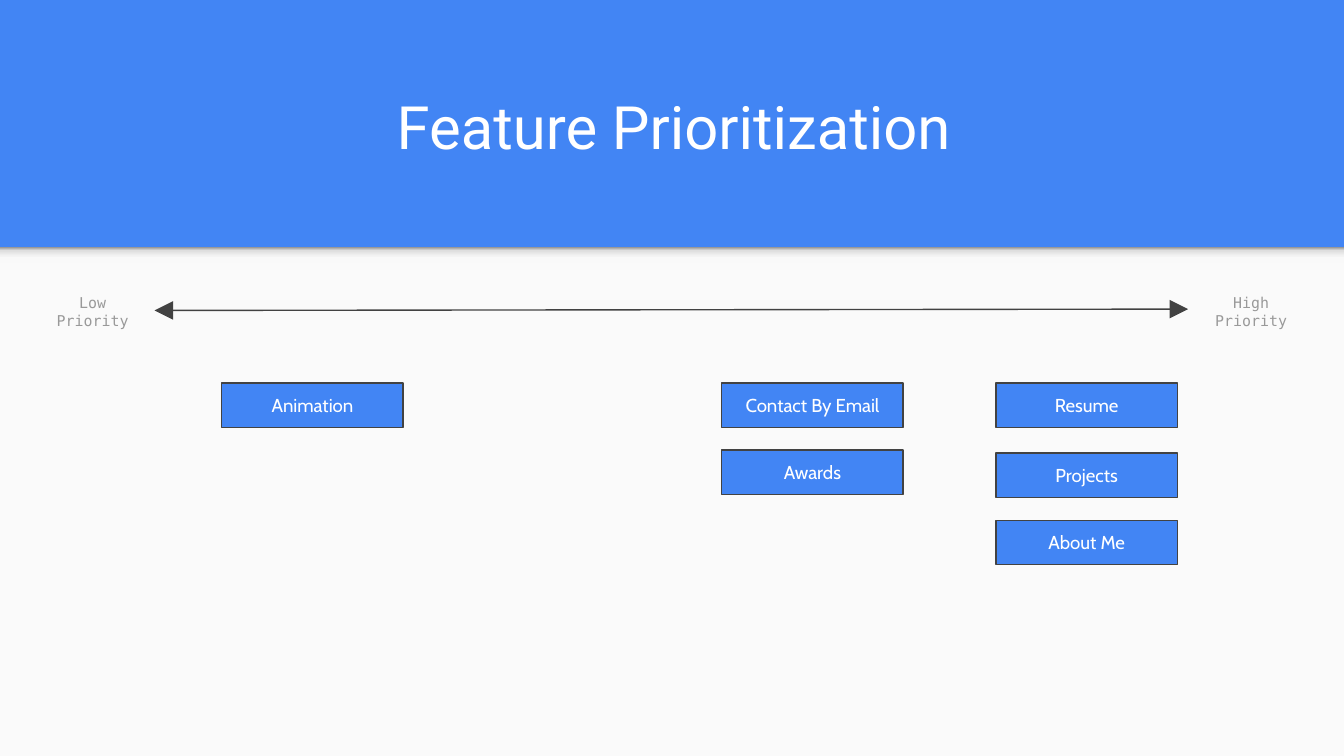
import pptx
import pptx.util
import pptx.dml.color
import pptx.enum.shapes
import pptx.enum.text
import pptx.oxml
import pptx.oxml.ns
import lxml.etree

Pt = pptx.util.Pt
qn = pptx.oxml.ns.qn
RECTANGLE = pptx.enum.shapes.MSO_SHAPE.RECTANGLE
ANCHOR = pptx.enum.text.MSO_ANCHOR

BLUE = "4285F4"
PAPER = "FAFAFA"
DARK = "424242"
GREY = "999999"
WHITE = "FFFFFF"
SHADOW_STOPS = [(0, "F9F9F9"), (36, "F9F9F9"), (80, "DEDEDE"), (100, GREY)]


def color(hex_value):
    return pptx.dml.color.RGBColor.from_string(hex_value)


def write_text(shape, text, font, size, hex_value, anchor=ANCHOR.MIDDLE):
    frame = shape.text_frame
    frame.text = text
    frame.word_wrap = True
    frame.auto_size = pptx.enum.text.MSO_AUTO_SIZE.NONE
    frame.vertical_anchor = anchor
    frame.margin_left = frame.margin_right = Pt(7.2)
    frame.margin_top = frame.margin_bottom = Pt(7.2)
    para = frame.paragraphs[0]
    para.alignment = pptx.enum.text.PP_ALIGN.CENTER
    span = para.runs[0]
    span.font.name = font
    span.font.size = Pt(size)
    span.font.color.rgb = color(hex_value)


def add_rectangle(page, left, top, width, height, fill):
    box = page.shapes.add_shape(RECTANGLE, Pt(left), Pt(top), Pt(width), Pt(height))
    box.shadow.inherit = False
    box.fill.solid()
    box.fill.fore_color.rgb = color(fill)
    box.line.fill.background()
    return box


def add_panel(page, left, top, width, height):
    add_rectangle(page, left, top, width, height, PAPER)
    edge = add_rectangle(page, left, top, width, 8.64, PAPER)
    edge.fill.gradient()
    edge.fill.gradient_angle = 90
    stops = edge.fill._fill._gradFill.find(qn("a:gsLst"))
    for stop in list(stops):
        stops.remove(stop)
    for position, hex_value in SHADOW_STOPS:
        stop = lxml.etree.SubElement(stops, qn("a:gs"), pos=str(position * 1000))
        lxml.etree.SubElement(stop, qn("a:srgbClr"), val=hex_value)


def add_title(page, left, top, width, height):
    title = page.shapes.title
    title.left, title.top = Pt(left), Pt(top)
    title.width, title.height = Pt(width), Pt(height)
    write_text(title, "Feature Prioritization", "Roboto", 32, WHITE, ANCHOR.BOTTOM)


def add_priority_axis(page, left, top, width, height):
    low_width, high_width = 66.24, 67.68
    start = left + low_width
    end = left + width - high_width
    middle = top + height / 2 - 6 * 0.12
    arrow = page.shapes.add_connector(
        pptx.enum.shapes.MSO_CONNECTOR.STRAIGHT,
        Pt(start), Pt(middle), Pt(end), Pt(middle - 0.72))
    arrow.line.color.rgb = color(DARK)
    arrow.line.width = Pt(0.75)
    line = arrow.line._get_or_add_ln()
    for tag in ("a:headEnd", "a:tailEnd"):
        lxml.etree.SubElement(line, qn(tag), type="triangle", w="lg", len="lg")
    lxml.etree.SubElement(arrow._element.spPr, qn("a:effectLst"))
    for text, label_left, label_width in (
            ("Low Priority", left, low_width), ("High Priority", end, high_width)):
        label = page.shapes.add_textbox(
            Pt(label_left), Pt(top), Pt(label_width), Pt(height))
        write_text(label, text, "DejaVu Sans Mono", 8, GREY)


def add_feature_column(page, left, top, width, features):
    for name, offset in features:
        card = add_rectangle(page, left, top + offset, width, 23.76, BLUE)
        card.line.color.rgb = color(DARK)
        card.line.width = Pt(0.75)
        write_text(card, name, "Cabin", 10, WHITE)


def main():
    deck = pptx.Presentation()
    deck.slide_width, deck.slide_height = Pt(720), Pt(405)
    page = deck.slides.add_slide(deck.slide_layouts[5])
    page.background.fill.solid()
    page.background.fill.fore_color.rgb = color(BLUE)

    add_panel(page, 0, 132.48, 720, 272.52)
    add_title(page, 37.44, 33.12, 647.28, 60.48)
    add_priority_axis(page, 16.56, 154.08, 687.6, 25.92)
    columns = [
        (118.8, [("Animation", 0)]),
        (386.64, [("Contact By Email", 0), ("Awards", 36)]),
        (533.52, [("Resume", 0), ("Projects", 37.6), ("About Me", 73.6)]),
    ]
    for left, features in columns:
        add_feature_column(page, left, 205.2, 97.2, features)
    deck.save("out.pptx")


if __name__ == "__main__":
    main()
